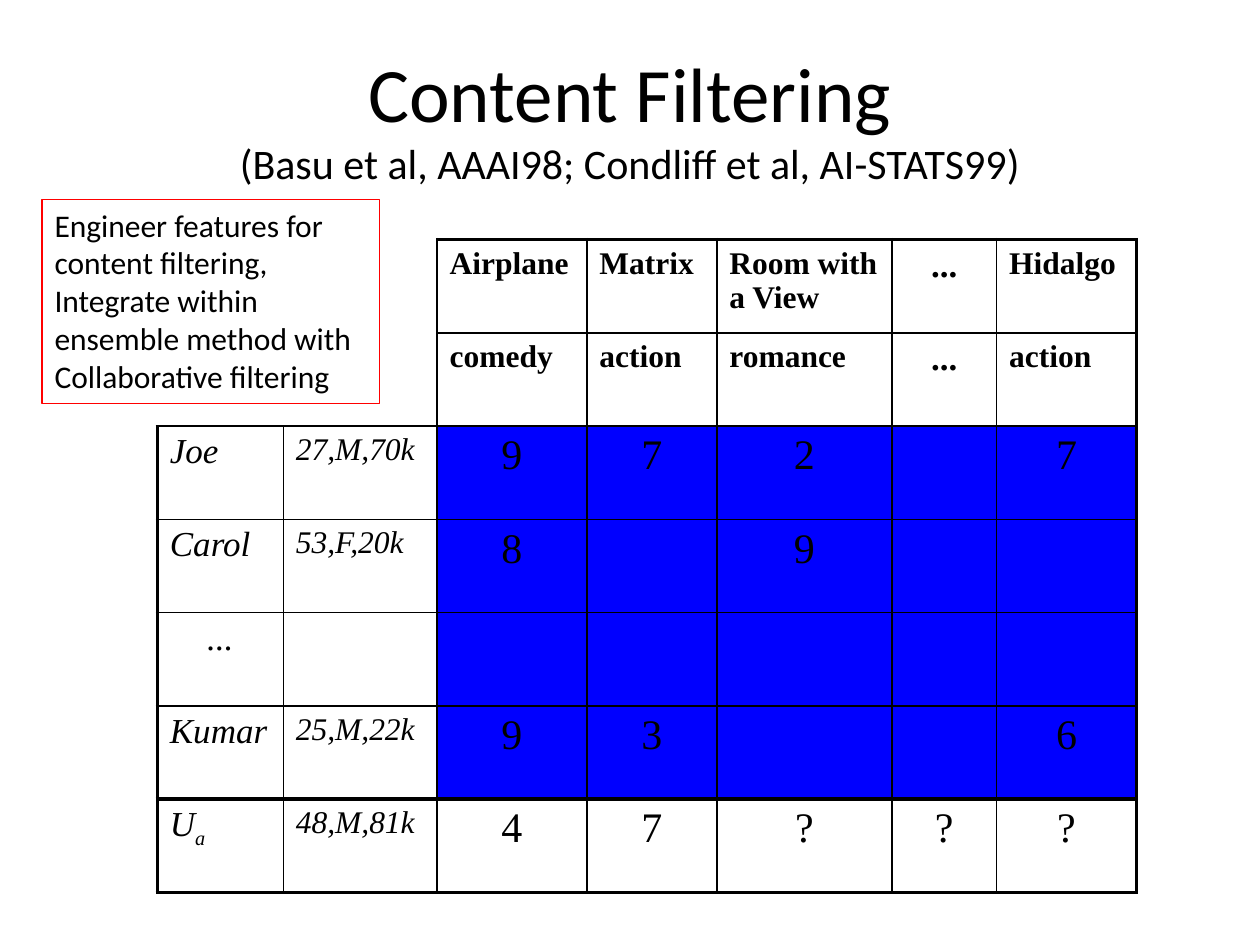
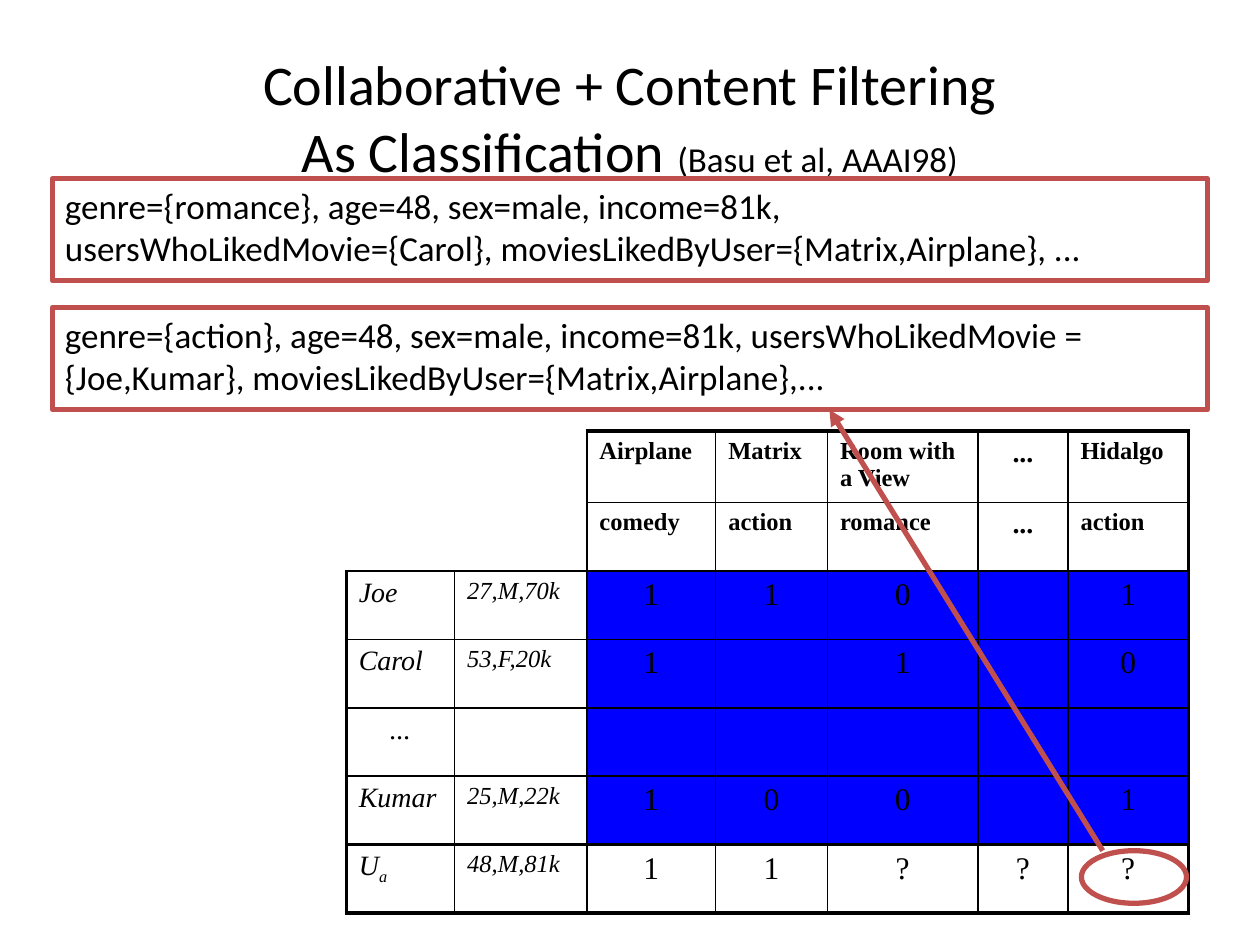
from lxml import etree
from pptx import Presentation
from pptx import util as u
from pptx.dml.color import RGBColor
from pptx.enum import shapes, text
from pptx.oxml.ns import qn

COLORS = {"ink": "000000", "known": "0000FF", "note": "FF0000", "accent": "C0504D"}
BODY, TABLE = "Calibri", "Times New Roman"
THIN, THICK = 1, 2.25

MOVIES = ["Airplane", "Matrix", "Room with a View", "...", "Hidalgo"]
GENRES = ["comedy", "action", "romance", "...", "action"]
USERS = [("Joe", "27,M,70k"), ("Carol", "53,F,20k"), ("...", ""),
         ("Kumar", "25,M,22k"), ("U", "48,M,81k")]
COL_WIDTHS = [2.54, 3.1, 3.02, 2.62, 3.53, 2.11, 2.82]
HEAD_ROWS, LABEL_COLS = 2, 2

# One string per user, one character per movie; a space is an unrated movie
CONTENT = {
    "title": [[("Content Filtering", 44)],
              [("(Basu et al, AAAI98; Condliff et al, AI-STATS99)", 24)]],
    "ratings": ["972 7", "8 9  ", "     ", "93  6", "47???"],
    "table": {"left": 3.17, "top": 4.83, "scale": 1, "row_h": 1.88,
              "sizes": {"head": 18, "name": 20, "rating": 24}},
    "note": ["Engineer features for content filtering,",
             "Integrate within ensemble method with",
             "Collaborative filtering"],
}
CLASSIFICATION = {
    "title": [[("Collaborative + Content Filtering", 32)],
              [("As Classification ", 32), ("(Basu et al, AAAI98)", 20)]],
    "ratings": ["110 1", "1 1 0", "     ", "100 1", "11???"],
    "table": {"left": 6.98, "top": 8.69, "scale": 0.86, "row_h": 1.38,
              "sizes": {"head": 14, "name": 16, "rating": 18}},
    "examples": [
        "genre={romance}, age=48, sex=male, income=81k, "
        "usersWhoLikedMovie={Carol}, moviesLikedByUser={Matrix,Airplane}, ...",
        "genre={action}, age=48, sex=male, income=81k, usersWhoLikedMovie = "
        "{Joe,Kumar}, moviesLikedByUser={Matrix,Airplane},..."],
}


def rgb(name):
    return RGBColor.from_string(COLORS[name])


def add_run(p, words, size, font=BODY, bold=False, italic=False):
    r = p.add_run()
    r.text = words
    r.font.size, r.font.name = u.Pt(size), font
    r.font.bold, r.font.italic = bold, italic
    r.font.color.rgb = rgb("ink")
    return r


def add_title(s, lines):
    tf = s.shapes.add_textbox(u.Cm(1.27), u.Cm(0.76), u.Cm(22.86), u.Cm(3.18)).text_frame
    tf.word_wrap = True
    tf.vertical_anchor = text.MSO_ANCHOR.MIDDLE
    p = tf.paragraphs[0]
    p.alignment = text.PP_ALIGN.CENTER
    for i, line in enumerate(lines):
        if i:
            p.add_line_break()
        for words, size in line:
            add_run(p, words, size)


def add_outline(s, kind, left, top, width, height, color, weight):
    """Add an unfilled shape with a coloured outline."""
    sp = s.shapes.add_shape(kind, u.Cm(left), u.Cm(top), u.Cm(width), u.Cm(height))
    sp.shadow.inherit = False
    sp.fill.background()
    sp.line.color.rgb = rgb(color)
    sp.line.width = u.Pt(weight)
    return sp


def add_box(s, paragraphs, size, *outline):
    tf = add_outline(s, shapes.MSO_SHAPE.RECTANGLE, *outline).text_frame
    tf.word_wrap = True
    tf.auto_size = text.MSO_AUTO_SIZE.SHAPE_TO_FIT_TEXT
    tf.vertical_anchor = text.MSO_ANCHOR.TOP
    for i, words in enumerate(paragraphs):
        p = tf.add_paragraph() if i else tf.paragraphs[0]
        p.alignment = text.PP_ALIGN.LEFT
        add_run(p, words, size)


def border_widths(row, col, last_row, last_col):
    """Left, right, top and bottom widths; 0 means no line."""
    if row < HEAD_ROWS and col < LABEL_COLS:
        return (0, THIN if col == LABEL_COLS - 1 else 0,
                0, THIN if row == HEAD_ROWS - 1 else 0)
    return (THICK if col == 0 else THIN,
            THICK if col == last_col else THIN,
            THICK if row in (0, last_row) else THIN,
            THICK if row >= last_row - 1 else THIN)


def set_borders(cell, widths):
    tc_pr = cell._tc.get_or_add_tcPr()
    for side, width in zip("LRTB", widths):
        ln = etree.SubElement(tc_pr, qn(f"a:ln{side}"), w=str(u.Pt(width)))
        if width:
            fill = etree.SubElement(ln, qn("a:solidFill"))
            etree.SubElement(fill, qn("a:srgbClr"), val=COLORS["ink"])
        else:
            etree.SubElement(ln, qn("a:noFill"))


def fill_text(cell, words, row, col, sizes):
    p = cell.text_frame.paragraphs[0]
    is_head = row < HEAD_ROWS
    is_label = not is_head and col < LABEL_COLS
    if words == "..." or not (is_head or is_label):
        p.alignment = text.PP_ALIGN.CENTER
    if words == "..." or (is_label and col == 0):
        size = sizes["name"]
    else:
        size = sizes["head" if is_head or is_label else "rating"]
    add_run(p, words, size, TABLE, is_head, is_label)
    if words == "U":
        sub = add_run(p, "a", size, TABLE, italic=True)
        sub._r.get_or_add_rPr().set("baseline", "-25000")


def add_ratings(s, ratings, left, top, scale, row_h, sizes):
    grid = [["", "", *MOVIES], ["", "", *GENRES]]
    grid += [[*user, *marks] for user, marks in zip(USERS, ratings)]
    last_row, last_col = len(grid) - 1, len(COL_WIDTHS) - 1
    widths = [w * scale for w in COL_WIDTHS]
    table = s.shapes.add_table(len(grid), len(widths), u.Cm(left), u.Cm(top),
                               u.Cm(sum(widths)), u.Cm(row_h * len(grid))).table
    table.first_row = table.horz_banding = False
    for column, width in zip(table.columns, widths):
        column.width = u.Cm(width)
    for row, values in enumerate(grid):
        table.rows[row].height = u.Cm(row_h)
        for col, words in enumerate(values):
            cell = table.cell(row, col)
            set_borders(cell, border_widths(row, col, last_row, last_col))
            if HEAD_ROWS <= row < last_row and col >= LABEL_COLS:
                cell.fill.solid()
                cell.fill.fore_color.rgb = rgb("known")
            else:
                cell.fill.background()
            if words.strip():
                fill_text(cell, words, row, col, sizes)


def add_arrow(s, x1, y1, x2, y2):
    line = s.shapes.add_connector(shapes.MSO_CONNECTOR.STRAIGHT,
                                  u.Cm(x1), u.Cm(y1), u.Cm(x2), u.Cm(y2))
    line.line.color.rgb = rgb("accent")
    line.line.width = u.Pt(3)
    etree.SubElement(line.line._get_or_add_ln(), qn("a:tailEnd"), type="triangle")
    etree.SubElement(line._element.spPr, qn("a:effectLst"))


def add_slide(prs, content):
    s = prs.slides.add_slide(prs.slide_layouts[6])
    add_title(s, content["title"])
    add_ratings(s, content["ratings"], **content["table"])
    return s


def main():
    prs = Presentation()
    prs.slide_width, prs.slide_height = u.Cm(25.4), u.Cm(19.05)

    s = add_slide(prs, CONTENT)
    add_box(s, CONTENT["note"], 18, 0.85, 4.02, 6.8, 4.12, "note", 0.75)

    s = add_slide(prs, CLASSIFICATION)
    for i, example in enumerate(CLASSIFICATION["examples"]):
        add_box(s, [example], 20, 1.06, 3.6 + 2.6 * i, 23.28, 2.06, "accent", 3)
    add_arrow(s, 22.23, 17.15, 16.72, 8.26)
    add_outline(s, shapes.MSO_SHAPE.OVAL, 21.8, 17.15, 2.12, 1.06, "accent", 3)

    prs.save("out.pptx")


if __name__ == "__main__":
    main()
